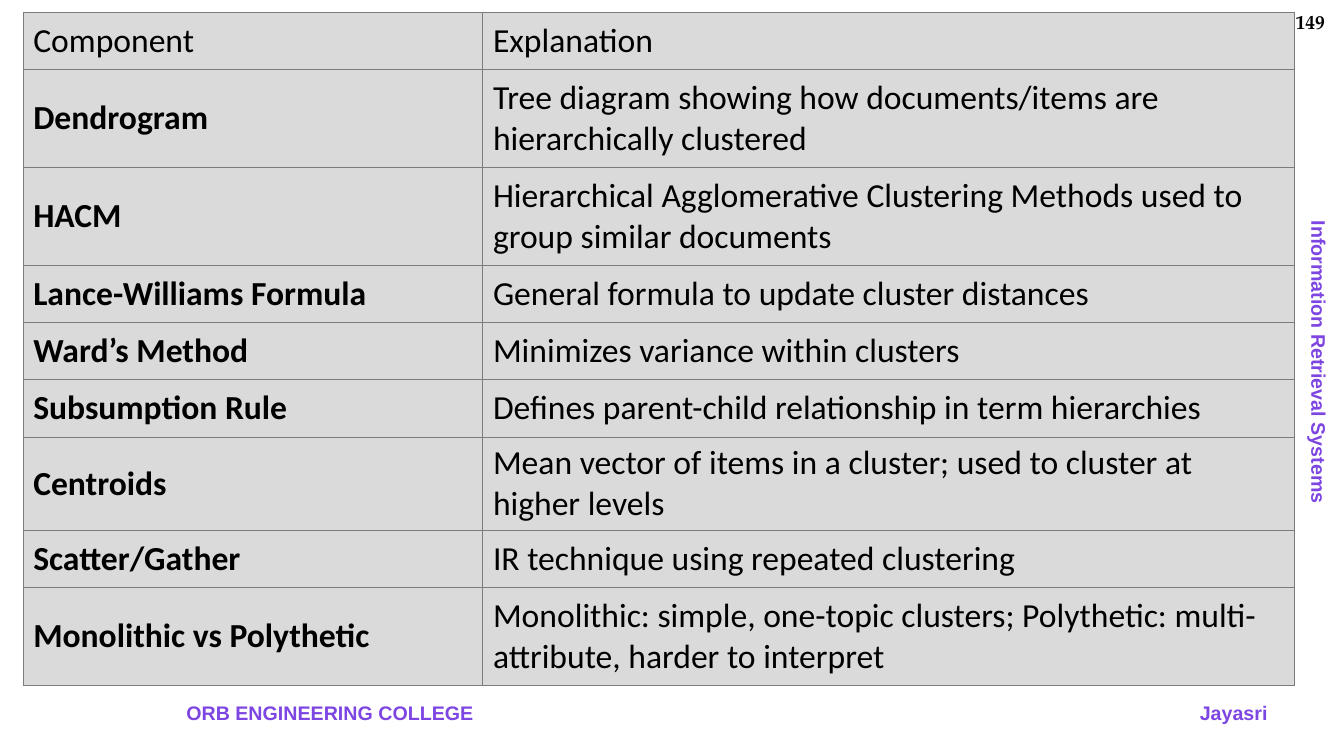
"""Build a slide with a table of clustering components and their explanations."""
import lxml.etree
import pptx
import pptx.dml.color
import pptx.enum.text
import pptx.oxml.ns
import pptx.util

Inches = pptx.util.Inches
PP_ALIGN = pptx.enum.text.PP_ALIGN
PURPLE, BLACK, GREY, BORDER = "7D45E1", "000000", "DADADA", "7C7C7C"


def rgb(color):
    return pptx.dml.color.RGBColor.from_string(color)


def add_run(p, text, size, font, color, bold):
    r = p.add_run()
    r.text = text
    r.font.size = pptx.util.Pt(size)
    r.font.name = font
    r.font.color.rgb = rgb(color)
    r.font.bold = bold


prs = pptx.Presentation()
prs.slide_width, prs.slide_height = Inches(13.33), Inches(7.5)
s = prs.slides.add_slide(prs.slide_layouts[6])

labels = [
    ("Jayasri", 9.05, 6.9, 3.62, 0, PP_ALIGN.RIGHT, "Arial", PURPLE),
    ("ORB ENGINEERING COLLEGE", 1.75, 6.9, 4.73, 0, PP_ALIGN.LEFT, "Arial", PURPLE),
    ("Information Retrieval Systems", 11.57, 3.43, 3.02, 90, PP_ALIGN.LEFT, "Arial", PURPLE),
    ("149", 12.5, 0.05, 0.74, 0, PP_ALIGN.RIGHT, "TeX Gyre Pagella", BLACK),
]
for text, left, top, width, rotation, align, font, color in labels:
    sp = s.shapes.add_textbox(Inches(left), Inches(top), Inches(width), Inches(0.34))
    sp.rotation = rotation
    tf = sp.text_frame
    tf.word_wrap = rotation == 0
    p = tf.paragraphs[0]
    p.alignment = align
    add_run(p, text, 14, font, color, True)

rows = [
    ("Component", "Explanation", 0.57),
    ("Dendrogram", "Tree diagram showing how documents/items are hierarchically clustered", 0.97),
    ("HACM", "Hierarchical Agglomerative Clustering Methods used to group similar documents", 0.97),
    ("Lance-Williams Formula", "General formula to update cluster distances", 0.57),
    ("Ward’s Method", "Minimizes variance within clusters", 0.57),
    ("Subsumption Rule", "Defines parent-child relationship in term hierarchies", 0.57),
    ("Centroids", "Mean vector of items in a cluster; used to cluster at higher levels", 0.92),
    ("Scatter/Gather", "IR technique using repeated clustering", 0.57),
    ("Monolithic vs Polythetic",
     "Monolithic: simple, one-topic clusters; Polythetic: multi-attribute, harder to interpret", 0.97),
]
table = s.shapes.add_table(len(rows), 2, Inches(0.23), Inches(0.12), Inches(12.61), Inches(6.68)).table
table.horz_banding = False
table.columns[0].width, table.columns[1].width = Inches(4.56), Inches(8.05)

qn = pptx.oxml.ns.qn
for i, (component, explanation, height) in enumerate(rows):
    table.rows[i].height = Inches(height)
    for j, text in enumerate((component, explanation)):
        cell = table.cell(i, j)
        cell.vertical_anchor = pptx.enum.text.MSO_ANCHOR.MIDDLE
        tcPr = cell._tc.get_or_add_tcPr()
        for side in ("a:lnL", "a:lnR", "a:lnT", "a:lnB"):
            ln = lxml.etree.SubElement(tcPr, qn(side), w=str(pptx.util.Pt(0.75)))
            fill = lxml.etree.SubElement(ln, qn("a:solidFill"))
            lxml.etree.SubElement(fill, qn("a:srgbClr"), val=BORDER)
        cell.fill.solid()
        cell.fill.fore_color.rgb = rgb(GREY)
        add_run(cell.text_frame.paragraphs[0], text, 24, "Calibri", BLACK, i > 0 and j == 0)

prs.save("out.pptx")
